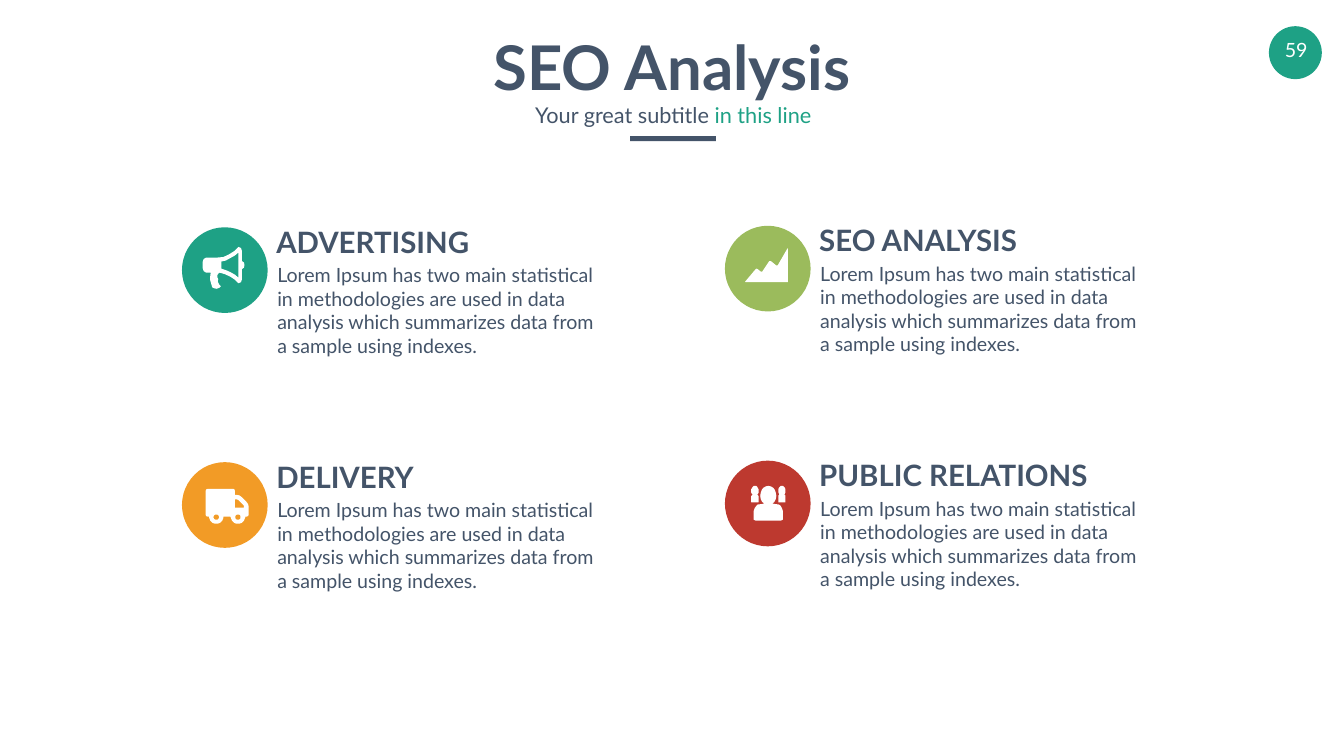
import math
from dataclasses import dataclass

import pptx
import pptx.dml.color
import pptx.enum.shapes
import pptx.enum.text
import pptx.util
from pptx.util import Inches

SHAPE = pptx.enum.shapes.MSO_SHAPE
ALIGN = pptx.enum.text.PP_ALIGN


@dataclass(frozen=True)
class Theme:
    font: str = "Lato"
    dark: str = "445469"
    white: str = "FFFFFF"
    teal: str = "1EA185"
    green: str = "9BBB5C"
    orange: str = "F29B26"
    red: str = "BD392F"
    title: int = 88
    heading: int = 42
    subtitle: int = 31
    body: int = 28


THEME = Theme()
BLURB = ("Lorem Ipsum has two main statistical in methodologies are used in data "
         "analysis which summarizes data from a sample using indexes.")


# Icon outlines, in hundredths of an inch from the corner of the icon's circle
def arc(cx, cy, rx, ry, start, end, steps=16):
    angles = [math.radians(start + (end - start) * i / steps) for i in range(steps + 1)]
    return [(cx + rx * math.cos(a), cy + ry * math.sin(a)) for a in angles]


def megaphone():
    outer = [(124, 75), (123, 80), (119, 83), (119, 103), (117, 109), (112, 111),
             (105, 104), (96, 98), (85, 93), (75, 90), (72, 92), (70, 95), (70, 99),
             (72, 103), (71, 107), (72, 110), (74, 114), (77, 117), (74, 120),
             (69, 122), (64, 121), (60, 119), (58, 112), (56, 105), (56, 98), (57, 90),
             (48, 90), (43, 87), (41, 81), (41, 69), (43, 63), (48, 60), (71, 60),
             (82, 59), (93, 54), (104, 47), (112, 39), (117, 41), (119, 47), (119, 67),
             (123, 70)]
    bell = [(112, 50), (105, 56), (96, 61), (87, 66), (78, 68), (78, 82), (87, 85),
            (96, 89), (105, 94), (112, 100)]
    return [outer, bell]


def area_chart():
    return [[(124, 45), (105, 78), (103, 79), (101, 78), (91, 70), (88, 70), (74, 91),
             (71, 91), (65, 86), (63, 85), (61, 86), (40, 111), (41, 112), (125, 112),
             (125, 45)]]


def truck():
    wheels = (68, 111)
    body = [(51, 53), (48, 54), (47, 57), (47, 105), (48, 107), (51, 108)]
    for x in wheels:
        body += arc(x, 108, 14.5, 14, 180, 0)
    body += [(128, 108), (131, 107), (132, 105), (132, 87), (131, 83), (128, 79),
             (118, 69), (114, 66), (109, 65), (105, 65), (105, 57), (104, 54), (102, 53)]
    window = [(105, 74), (109, 74), (112, 75), (122, 85), (123, 87), (123, 90), (105, 90)]
    return [body, window] + [arc(x, 109, 5.5, 5, 0, 360) for x in wheels]


def people():
    side = arc(59.5, 60, 7.5, 10, 50, -230) + [
        (53, 69), (52, 71), (52, 82), (53, 83), (66, 83), (67, 82), (67, 71), (66, 69)]
    leader = arc(86, 69, 16, 19, 60, -240) + [
        (73, 86), (65, 87), (63, 89), (59, 94), (57, 100), (57, 117), (61, 119),
        (111, 119), (115, 117), (115, 100), (113, 94), (110, 89), (107, 87), (99, 86)]
    return [side, leader, [(x + 53.5, y) for x, y in side]]


# Element helpers
def rgb(color):
    return pptx.dml.color.RGBColor.from_string(color)


def paint(sp, color):
    sp.shadow.inherit = False
    sp.fill.solid()
    sp.fill.fore_color.rgb = rgb(color)
    sp.line.fill.background()


def add_solid(s, kind, x, y, w, h, color):
    paint(s.shapes.add_shape(kind, Inches(x), Inches(y), Inches(w), Inches(h)), color)


def add_icon(s, x, y, contours):
    first, *rest = contours
    builder = s.shapes.build_freeform(*first[0], scale=Inches(0.01))
    builder.add_line_segments(first[1:], close=True)
    for contour in rest:
        builder.move_to(*contour[0])
        builder.add_line_segments(contour[1:], close=True)
    paint(builder.convert_to_shape(Inches(x), Inches(y)), THEME.white)


def write(sp, runs, size, inset, bold=False, align=ALIGN.LEFT, wrap=True):
    """Fill a shape with one paragraph of (text, color) runs."""
    tf = sp.text_frame
    tf.word_wrap = wrap
    tf.auto_size = pptx.enum.text.MSO_AUTO_SIZE.NONE
    tf.vertical_anchor = pptx.enum.text.MSO_ANCHOR.TOP
    tf.margin_left = tf.margin_right = Inches(inset)
    tf.margin_top = tf.margin_bottom = Inches(inset / 2)
    p = tf.paragraphs[0]
    p.alignment = align
    p.font.name, p.font.size, p.font.bold = THEME.font, pptx.util.Pt(size), bold
    for text, color in runs:
        r = p.add_run()
        r.text = text
        r.font.color.rgb = rgb(color)
    return p


def add_text(s, x, y, w, h, runs, size, inset, **style):
    sp = s.shapes.add_textbox(Inches(x), Inches(y), Inches(w), Inches(h))
    return write(sp, runs, size, inset, **style)


def add_header(s):
    sp = s.shapes.title
    sp.left, sp.top, sp.width, sp.height = map(Inches, (6.57, 0.53, 13.52, 1.58))
    write(sp, [("SEO Analysis", THEME.dark)], THEME.title, 0.1,
          bold=True, align=ALIGN.CENTER)
    add_solid(s, SHAPE.RECTANGLE, 12.5, 2.7, 1.7, 0.1, THEME.dark)
    p = add_text(s, 6.98, 1.79, 12.75, 0.92,
                 [("Your great subtitle ", THEME.dark), ("in this line", THEME.teal)],
                 THEME.subtitle, 0.24, align=ALIGN.CENTER)
    p.line_spacing = 1.2


def add_page_number(s):
    add_solid(s, SHAPE.OVAL, 25.17, 0.52, 1.05, 1.05, THEME.teal)
    add_text(s, 25.27, 0.66, 0.88, 0.67, [("59", THEME.white)], THEME.body, 0.2,
             align=ALIGN.CENTER, wrap=False)


def add_feature(s, x, y, heading, color, icon):
    add_solid(s, SHAPE.OVAL, x, y, 1.7, 1.7, color)
    add_icon(s, x, y, icon)
    add_text(s, x + 1.67, y - 0.17, 6.22, 0.91, [(heading, THEME.dark)],
             THEME.heading, 0.2, bold=True)
    add_text(s, x + 1.65, y + 0.59, 7.04, 2.13, [(BLURB, THEME.dark)], THEME.body, 0.24)


def main():
    prs = pptx.Presentation()
    prs.slide_width, prs.slide_height = Inches(26.66), Inches(15)
    s = prs.slides.add_slide(prs.slide_layouts.get_by_name("Title Only"))

    add_page_number(s)
    add_header(s)

    # Two by two grid; the right column sits slightly higher
    features = [("ADVERTISING", THEME.teal, megaphone()),
                ("SEO ANALYSIS", THEME.green, area_chart()),
                ("DELIVERY", THEME.orange, truck()),
                ("PUBLIC RELATIONS", THEME.red, people())]
    for i, feature in enumerate(features):
        row, col = divmod(i, 2)
        add_feature(s, 3.61 + 10.77 * col, 4.51 + 4.66 * row - 0.03 * col, *feature)

    prs.save("out.pptx")


if __name__ == "__main__":
    main()
